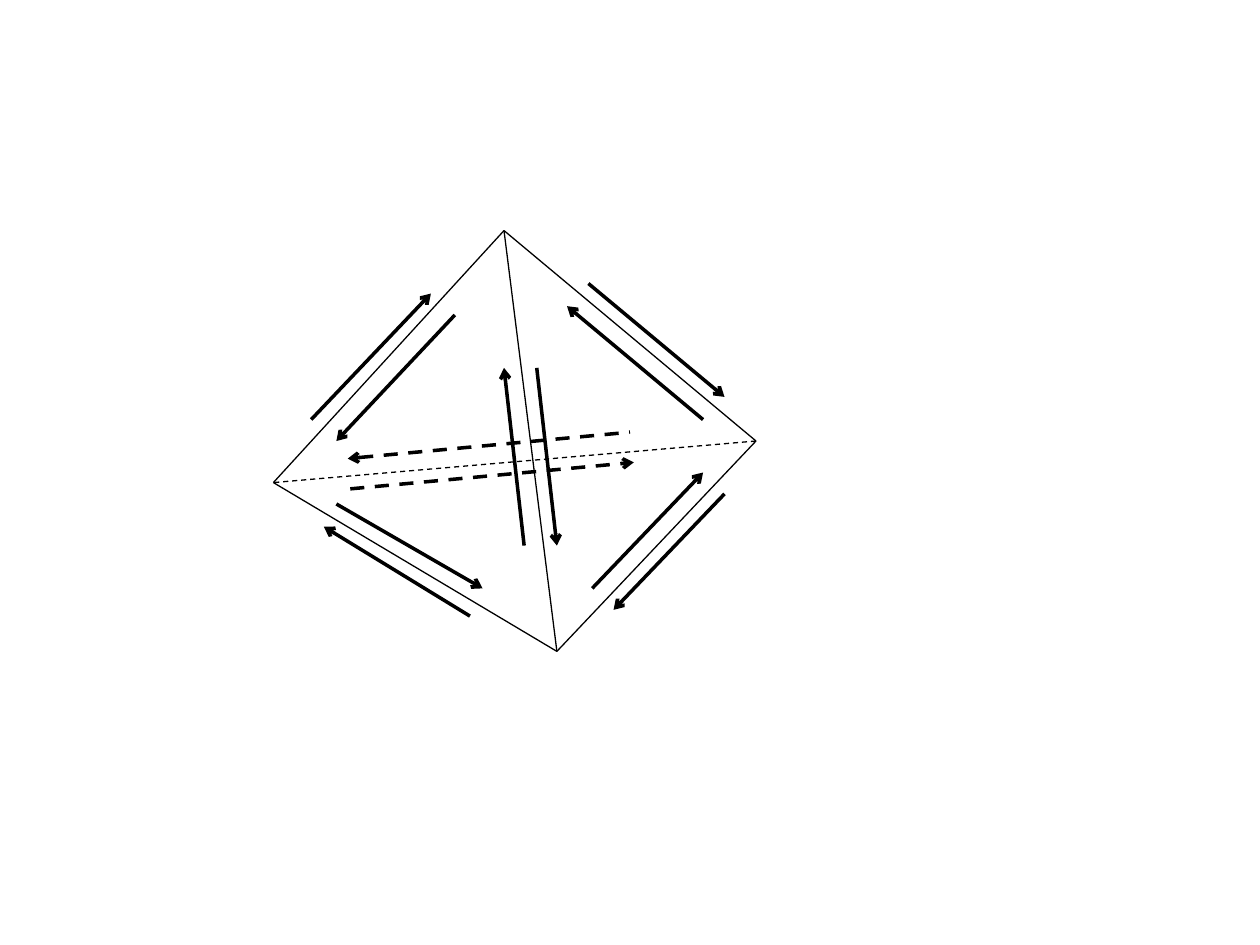
from itertools import combinations

from lxml.etree import SubElement
from pptx import Presentation
from pptx.dml.color import RGBColor
from pptx.enum.dml import MSO_LINE
from pptx.enum.shapes import MSO_CONNECTOR
from pptx.oxml.ns import qn
from pptx.util import Inches, Pt

BLACK = "000000"
VERTICES = {
    "right": (6, 3.5),
    "left": (2.17, 3.83),
    "bottom": (4.42, 5.17),
    "top": (4, 1.83),
}
HIDDEN_EDGE = ("right", "left")
ARROWS = {
    "left-top": [
        ((3.42, 2.33), (2.47, 3.33), "headEnd"),
        ((3.61, 2.5), (2.67, 3.5), "tailEnd"),
    ],
    "left-bottom": [
        ((2.67, 4), (3.83, 4.67), "tailEnd"),
        ((3.73, 4.89), (2.57, 4.18), "tailEnd"),
    ],
    "top-bottom": [
        ((4.16, 4.33), (4, 2.92), "tailEnd"),
        ((4.42, 4.33), (4.26, 2.92), "headEnd"),
    ],
    "right-bottom": [
        ((4.7, 4.67), (5.58, 3.75), "tailEnd"),
        ((4.87, 4.84), (5.75, 3.92), "headEnd"),
    ],
    "right-top": [
        ((5.58, 3.33), (4.5, 2.43), "tailEnd"),
        ((5.75, 3.15), (4.67, 2.25), "headEnd"),
    ],
    "right-left": [
        ((2.76, 3.64), (5, 3.43), "headEnd"),
        ((2.78, 3.88), (5.03, 3.67), "tailEnd"),
    ],
}


def color(hex_value):
    return RGBColor.from_string(hex_value)


def add_line(slide, start, end, width, dashed):
    points = [Inches(value) for value in (*start, *end)]
    connector = slide.shapes.add_connector(MSO_CONNECTOR.STRAIGHT, *points)
    connector.line.color.rgb = color(BLACK)
    connector.line.width = Pt(width)
    if dashed:
        connector.line.dash_style = MSO_LINE.DASH
    SubElement(connector._element.spPr, qn("a:effectLst"))
    return connector


def add_arrow(slide, start, end, arrow_end, dashed):
    connector = add_line(slide, start, end, 2, dashed)
    line_properties = connector.line._get_or_add_ln()
    SubElement(line_properties, qn(f"a:{arrow_end}"), type="arrow")


def add_tetrahedron(slide):
    for edge in combinations(VERTICES, 2):
        start, end = (VERTICES[name] for name in edge)
        add_line(slide, start, end, 0.75, edge == HIDDEN_EDGE)


def add_edge_arrows(slide):
    for edge, arrows in ARROWS.items():
        for start, end, arrow_end in arrows:
            add_arrow(slide, start, end, arrow_end, edge == "-".join(HIDDEN_EDGE))


def main():
    presentation = Presentation()
    presentation.slide_width = Inches(10)
    presentation.slide_height = Inches(7.5)
    slide = presentation.slides.add_slide(presentation.slide_layouts[6])
    add_tetrahedron(slide)
    add_edge_arrows(slide)
    presentation.save("out.pptx")


if __name__ == "__main__":
    main()
